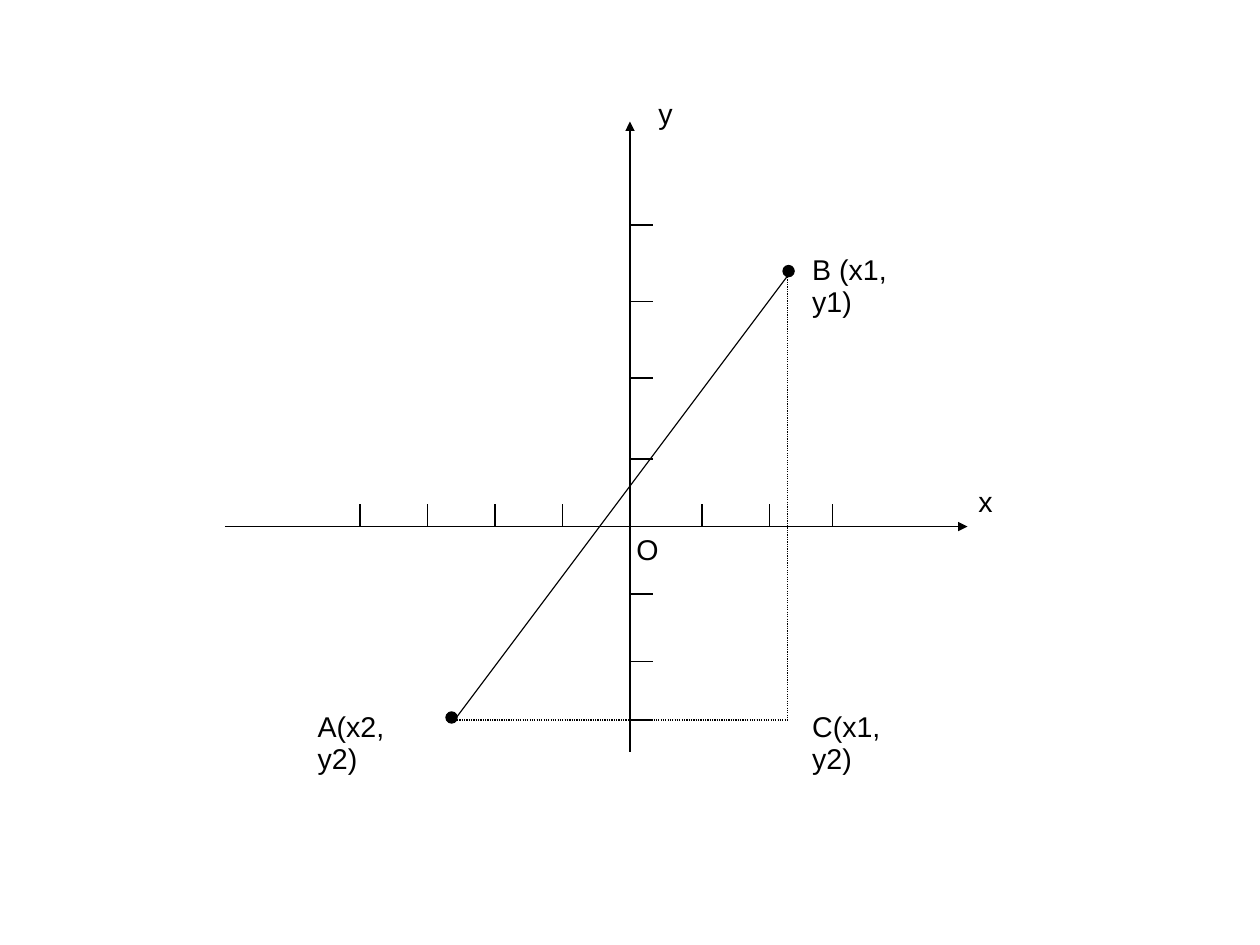
"""Draw line AB on x and y axes, with its dotted right triangle to C."""
from lxml import etree
from pptx import Presentation
from pptx.dml.color import RGBColor
from pptx.enum.dml import MSO_LINE
from pptx.enum.shapes import MSO_CONNECTOR, MSO_SHAPE
from pptx.enum.text import MSO_AUTO_SIZE
from pptx.oxml.ns import qn
from pptx.util import Pt

PX = 3600
INK = RGBColor.from_string("000000")
STRAIGHT = MSO_CONNECTOR.STRAIGHT
OVAL = MSO_SHAPE.OVAL
DOTS = MSO_LINE.ROUND_DOT
FIT = MSO_AUTO_SIZE.SHAPE_TO_FIT_TEXT
MID_X, MID_Y = 1400, 1170
TICK = 50
DOT = 25

deck = Presentation()
deck.slide_width, deck.slide_height = 2800 * PX, 2100 * PX
slide = deck.slides.add_slide(deck.slide_layouts[6])
shapes = slide.shapes


def put_line(x1, y1, x2, y2, dash=None, arrow=False):
    line = shapes.add_connector(STRAIGHT, x1 * PX, y1 * PX, x2 * PX, y2 * PX)
    line.line.color.rgb = INK
    line.line.width = Pt(0.75)
    if dash:
        line.line.dash_style = dash
    if arrow:
        etree.SubElement(line.line._get_or_add_ln(), qn("a:tailEnd"), type="triangle")
    etree.SubElement(line._element.spPr, qn("a:effectLst"))


def put_text(text, x, y, width, height=97, size=18, font="Arial", color=INK):
    box = shapes.add_textbox(x * PX, y * PX, width * PX, height * PX)
    frame = box.text_frame
    frame.word_wrap = False
    frame.auto_size = FIT
    frame.margin_left = frame.margin_right = 25 * PX
    frame.margin_top, frame.margin_bottom = 18 * PX, 13 * PX
    para = frame.paragraphs[0]
    para.line_spacing = 0.93
    run = para.add_run()
    run.text = text
    run.font.size = Pt(size)
    run.font.name = font
    run.font.color.rgb = color


put_line(MID_X, 1670, MID_X, 270, arrow=True)
put_line(500, MID_Y, 2150, MID_Y, arrow=True)

for y in (500, 670, 840, 1020, 1320, 1470, 1600):
    put_line(MID_X, y, MID_X + TICK, y)
for x in (800, 950, 1100, 1250, 1560, 1710, 1850):
    put_line(x, MID_Y, x, MID_Y - TICK)

for text, x, y, width in (
    ("x", 2149, 1064, 81),
    ("O", 1389, 1170, 99),
    ("A(x2, y2)", 681, 1565, 302),
    ("B (x1, y1)", 1780, 549, 320),
    ("y", 1438, 201, 81),
    ("C(x1, y2)", 1780, 1565, 307),
):
    put_text(text, x, y, width)

for x, y in ((991, 1582), (1740, 590)):
    dot = shapes.add_shape(OVAL, x * PX, y * PX, DOT * PX, DOT * PX)
    dot.shadow.inherit = False
    dot.fill.solid()
    dot.fill.fore_color.rgb = INK
    dot.line.color.rgb = INK
    dot.line.width = Pt(0.75)

put_line(1010, 1600, 1760, 600)
put_line(1750, 600, 1750, 1600, dash=DOTS)
put_line(1000, 1600, 1750, 1600, dash=DOTS)

deck.save("out.pptx")
